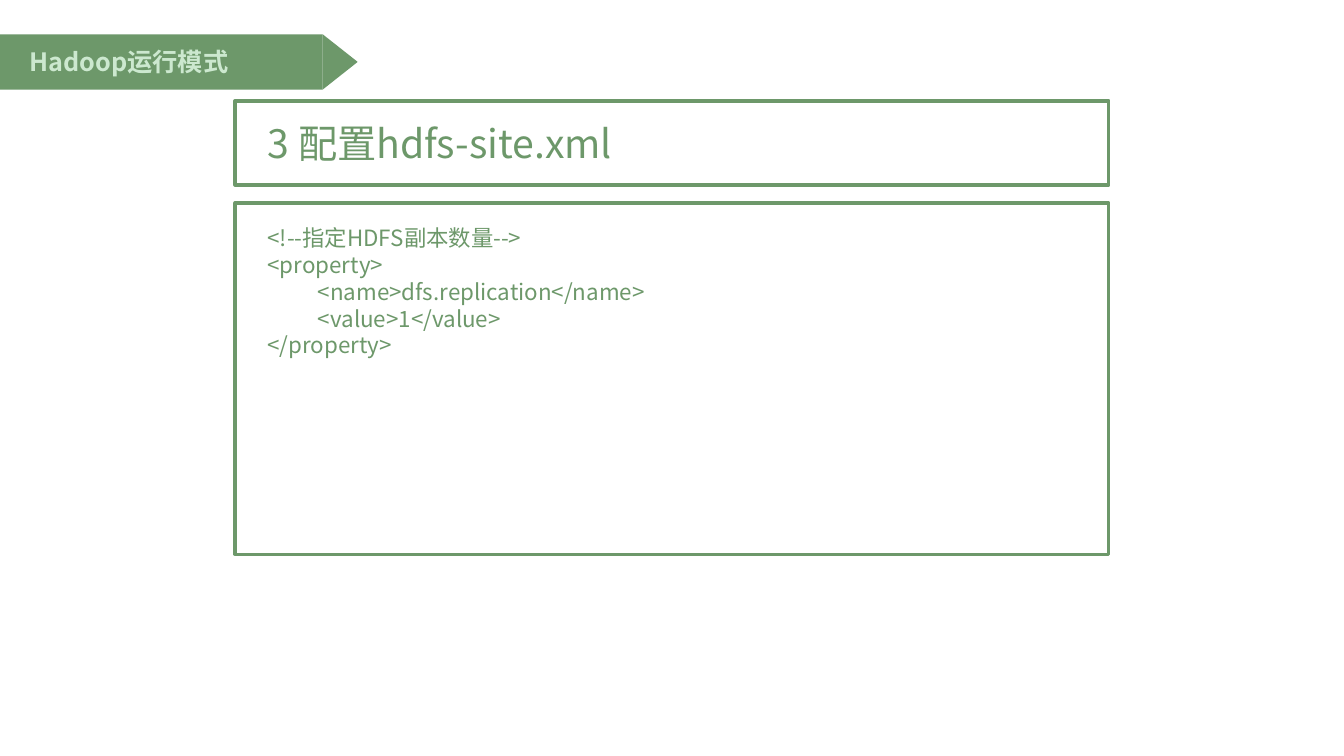
from lxml import etree
from pptx import Presentation
from pptx.dml.color import RGBColor
from pptx.enum.shapes import MSO_SHAPE
from pptx.enum.text import MSO_ANCHOR, MSO_AUTO_SIZE, PP_ALIGN
from pptx.oxml.ns import qn
from pptx.util import Pt

RECTANGLE = MSO_SHAPE.RECTANGLE
TRIANGLE = MSO_SHAPE.ISOSCELES_TRIANGLE
TOP, MIDDLE = MSO_ANCHOR.TOP, MSO_ANCHOR.MIDDLE
LEFT = PP_ALIGN.LEFT
NO_AUTOFIT = MSO_AUTO_SIZE.NONE

SECTION = ["Hadoop运行模式"]
HEADING = ["3 配置hdfs-site.xml"]
CODE = [
    "<!--指定HDFS副本数量-->",
    "<property>",
    "\t<name>dfs.replication</name>",
    "\t<value>1</value>",
    "</property>",
]

FONT = "Noto Sans CJK SC"
COLORS = {"green": "6D986A", "pale": "CCE8CF"}
SLIDE_WIDTH, SLIDE_HEIGHT = 960, 540
TAB_STOP = 72
INSET = 3.6

# Left, top, width, height in points
BANNER = (-0.5, 24.5, 231, 39.5)
TIP_LENGTH = 25
SECTION_AREA = (17.5, 29.5, 195, 29)
FRAME_LEFT, FRAME_WIDTH = 168, 624
FRAME_ROWS = [(72, 60), (145, 251)]
HEADING_AREA = (187.5, 81.5, 495, 41)
CODE_AREA = (187.5, 156.5, 590, 124)


def rgb(name):
    return RGBColor.from_string(COLORS[name])


def place(box, area):
    box.left, box.top, box.width, box.height = map(Pt, area)


def add_plain_shape(page, preset, area, fill=None, line=None):
    shape = page.shapes.add_shape(preset, *map(Pt, area))
    shape.shadow.inherit = False
    if fill:
        shape.fill.solid()
        shape.fill.fore_color.rgb = rgb(fill)
    else:
        shape.fill.background()
    if line:
        shape.line.color.rgb = rgb(line)
        shape.line.width = Pt(2.5)
    else:
        shape.line.fill.background()
    return shape


def write_lines(box, lines, size, color, bold=False, anchor=TOP):
    frame = box.text_frame
    frame.word_wrap = True
    frame.auto_size = NO_AUTOFIT
    frame.vertical_anchor = anchor
    frame.margin_left = frame.margin_right = Pt(INSET)
    frame.margin_top = frame.margin_bottom = Pt(INSET)
    for index, line in enumerate(lines):
        para = frame.paragraphs[0] if index == 0 else frame.add_paragraph()
        properties = para._p.get_or_add_pPr()
        properties.set("marL", "0")
        properties.set("indent", "0")
        etree.SubElement(properties, qn("a:buNone"))
        if line.startswith("\t"):
            tabs = etree.SubElement(properties, qn("a:tabLst"))
            etree.SubElement(tabs, qn("a:tab"), pos=str(Pt(TAB_STOP)), algn="l")
        para.alignment = LEFT
        para.space_before = para.space_after = Pt(0)
        span = para.add_run()
        span.text = line
        span.font.size = Pt(size)
        span.font.bold = bold
        span.font.color.rgb = rgb(color)
        span.font.name = FONT
        etree.SubElement(span.font._element, qn("a:ea"), typeface=FONT)


def add_banner(page):
    left, top, width, height = BANNER
    add_plain_shape(page, RECTANGLE, BANNER, fill="green")
    # The tip is turned a quarter, so its width is the banner's height
    center_x = left + width + TIP_LENGTH / 2
    tip_area = (center_x - height / 2, top + (height - TIP_LENGTH) / 2,
                height, TIP_LENGTH)
    tip = add_plain_shape(page, TRIANGLE, tip_area, fill="green")
    tip.rotation = 90
    label = page.shapes.add_textbox(*map(Pt, SECTION_AREA))
    write_lines(label, SECTION, 18, "pale", bold=True, anchor=MIDDLE)


def main():
    deck = Presentation()
    deck.slide_width, deck.slide_height = Pt(SLIDE_WIDTH), Pt(SLIDE_HEIGHT)
    page = deck.slides.add_slide(deck.slide_layouts[1])
    add_banner(page)
    for top, height in FRAME_ROWS:
        add_plain_shape(page, RECTANGLE, (FRAME_LEFT, top, FRAME_WIDTH, height),
                        line="green")
    heading, code = page.shapes.title, page.placeholders[1]
    place(heading, HEADING_AREA)
    write_lines(heading, HEADING, 28, "green")
    place(code, CODE_AREA)
    write_lines(code, CODE, 16, "green")
    deck.save("out.pptx")


if __name__ == "__main__":
    main()
